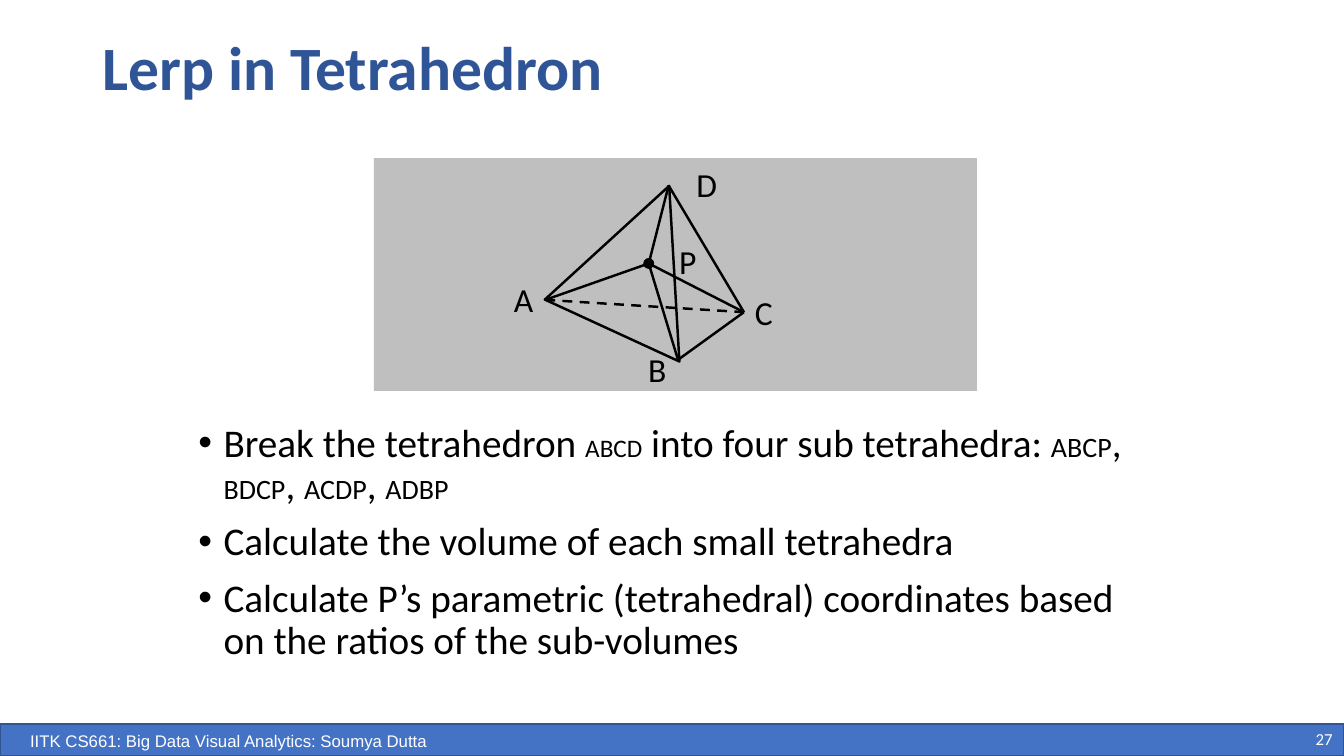
from pptx import Presentation
from pptx.dml.color import RGBColor
from pptx.enum.dml import MSO_LINE
from pptx.enum.shapes import MSO_CONNECTOR, MSO_SHAPE
from pptx.enum.text import MSO_ANCHOR, MSO_AUTO_SIZE, PP_ALIGN
from pptx.oxml.ns import qn
from pptx.util import Pt
from lxml import etree

BLACK, WHITE = "000000", "FFFFFF"
BLUE, BLUE_EDGE, TITLE_BLUE, GRAY = "4472C4", "325491", "2F5597", "BFBFBF"

# Corners of the tetrahedron and the inner point, in points
A, B, C, D = (389.5, 214.2), (484.3, 257), (531.4, 223), (477.6, 132.5)
P = (463.4, 188.2)

# Letter: left, top, width of its label
LABELS = {
    "P": (478.1, 168.5, 27.4),
    "A": (360, 195.8, 28.8),
    "B": (455.8, 245.5, 28.1),
    "C": (532.1, 205.2, 27.4),
    "D": (490.3, 113.8, 29.5),
}

BULLETS = [
    [("Break the tetrahedron ", 28), ("ABCD", 18),
     (" into four sub tetrahedra: ", 28), ("ABCP", 20), (", ", 28),
     ("BDCP", 20), (", ", 28), ("ACDP", 20), (", ", 28), ("ADBP", 20)],
    [("Calculate the volume of each small tetrahedra", 28)],
    [("Calculate P’s parametric (tetrahedral) coordinates based on "
      "the ratios of the sub-volumes", 28)],
]


def rgb(value):
    return RGBColor.from_string(value)


def add_run(p, text, size, color=BLACK, font="Calibri", bold=False):
    r = p.add_run()
    r.text = text
    r.font.size = Pt(size)
    r.font.name = font
    r.font.bold = bold
    r.font.color.rgb = rgb(color)


def add_preset(s, kind, left, top, width, height, fill=None, line=None, weight=1):
    sp = s.shapes.add_shape(kind, Pt(left), Pt(top), Pt(width), Pt(height))
    sp.shadow.inherit = False
    if fill:
        sp.fill.solid()
        sp.fill.fore_color.rgb = rgb(fill)
    else:
        sp.fill.background()
    if line:
        sp.line.color.rgb = rgb(line)
        sp.line.width = Pt(weight)
    else:
        sp.line.fill.background()
    return sp


def add_edge(s, start, end, dashed=False):
    cn = s.shapes.add_connector(MSO_CONNECTOR.STRAIGHT, *map(Pt, start + end))
    cn.line.color.rgb = rgb(BLACK)
    cn.line.width = Pt(1.75)
    if dashed:
        cn.line.dash_style = MSO_LINE.DASH
    etree.SubElement(cn._element.spPr, qn("a:effectLst"))


def add_box(s, left, top, width, height, wrap=True, anchor=MSO_ANCHOR.TOP):
    tf = s.shapes.add_textbox(Pt(left), Pt(top), Pt(width), Pt(height)).text_frame
    tf.word_wrap = wrap
    tf.vertical_anchor = anchor
    return tf


def add_label(s, letter, left, top, width):
    tf = add_box(s, left, top, width, 36.35, wrap=False)
    tf.auto_size = MSO_AUTO_SIZE.SHAPE_TO_FIT_TEXT
    add_run(tf.paragraphs[0], letter, 24)


def add_bullets(s, items, left, top, width, height):
    tf = add_box(s, left, top, width, height)
    for i, runs in enumerate(items):
        p = tf.add_paragraph() if i else tf.paragraphs[0]
        p.line_spacing = 0.9
        p.space_before = Pt(10 if i else 0)
        pPr = p._p.get_or_add_pPr()
        pPr.set("marL", str(Pt(18)))
        pPr.set("indent", str(Pt(-18)))
        etree.SubElement(pPr, qn("a:buFont"), typeface="Arial")
        etree.SubElement(pPr, qn("a:buChar"), char="•")
        for text, size in runs:
            add_run(p, text, size)


def add_footer(s):
    add_preset(s, MSO_SHAPE.RECTANGLE, 0, 517, 960, 23, BLUE, BLUE_EDGE)
    p = add_box(s, 894.2, 516.2, 64.8, 23, anchor=MSO_ANCHOR.MIDDLE).paragraphs[0]
    p.alignment = PP_ALIGN.RIGHT
    add_run(p, "27", 12, WHITE)
    p = add_box(s, 0, 518.4, 326.9, 21.6).paragraphs[0]
    p.alignment = PP_ALIGN.CENTER
    add_run(p, "IITK CS661: Big Data Visual Analytics: Soumya Dutta", 12, WHITE, "Arial")


def add_tetrahedron(s):
    add_preset(s, MSO_SHAPE.RECTANGLE, 267.1, 113, 430.6, 166.3, GRAY)
    # Front face ABD
    face = add_preset(s, MSO_SHAPE.ISOSCELES_TRIANGLE, 407.5, 130.3, 105.8, 110.9,
                      line=BLACK, weight=1.75)
    face.adjustments[0] = 0.442
    face.rotation = 24.7
    # Remaining outer edges, the hidden one dashed
    add_edge(s, A, C, dashed=True)
    add_edge(s, C, D)
    add_edge(s, B, C)
    # Inner point joined to every corner
    add_preset(s, MSO_SHAPE.OVAL, P[0] - 3.6, P[1] - 3.6, 7.2, 7.2, BLACK, BLACK, 0.5)
    for corner in (A, B, C, D):
        add_edge(s, corner, P)
    for letter, place in LABELS.items():
        add_label(s, letter, *place)


def main():
    prs = Presentation()
    prs.slide_width, prs.slide_height = Pt(960), Pt(540)
    s = prs.slides.add_slide(prs.slide_layouts[6])

    add_footer(s)

    # Title
    p = add_box(s, 66, 17.3, 828, 65.5, anchor=MSO_ANCHOR.MIDDLE).paragraphs[0]
    p.line_spacing = 0.9
    add_run(p, "Lerp in Tetrahedron", 44, TITLE_BLUE, bold=True)

    add_tetrahedron(s)
    add_bullets(s, BULLETS, 134.6, 298.8, 675.4, 195.1)
    prs.save("out.pptx")


if __name__ == "__main__":
    main()
